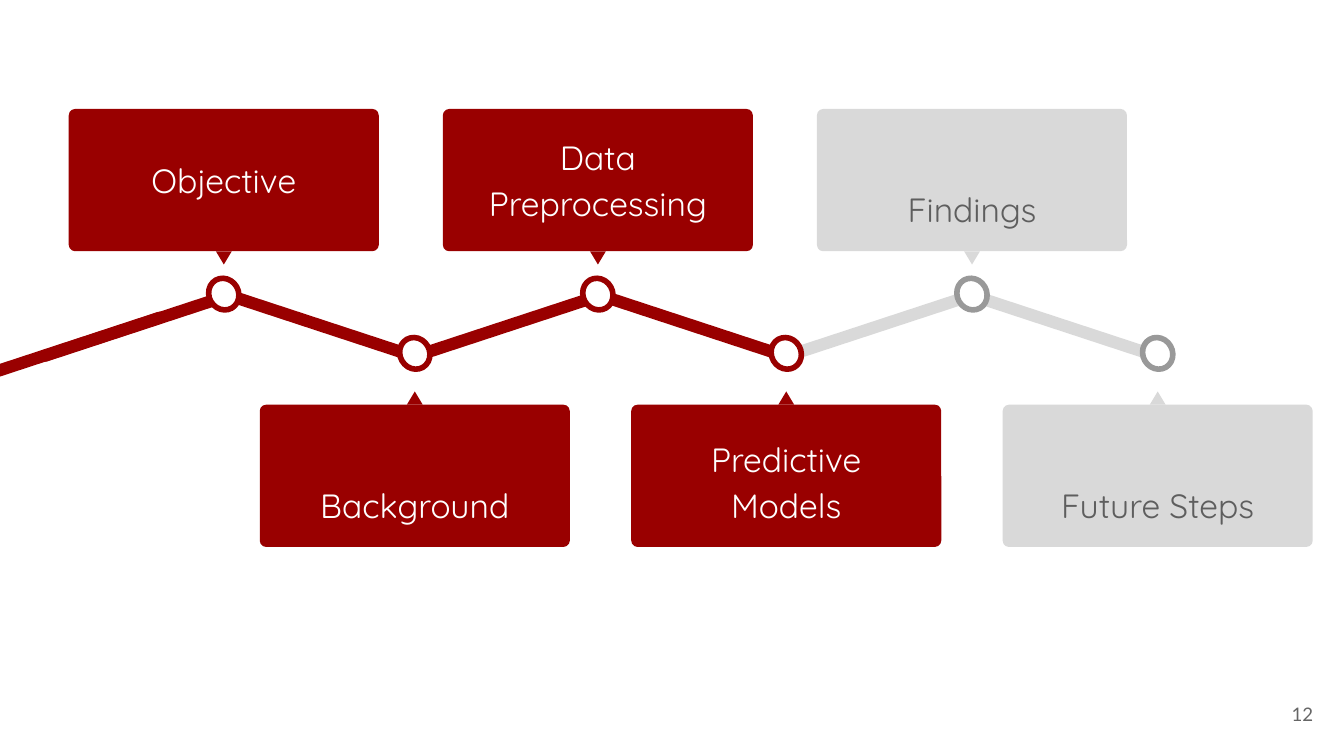
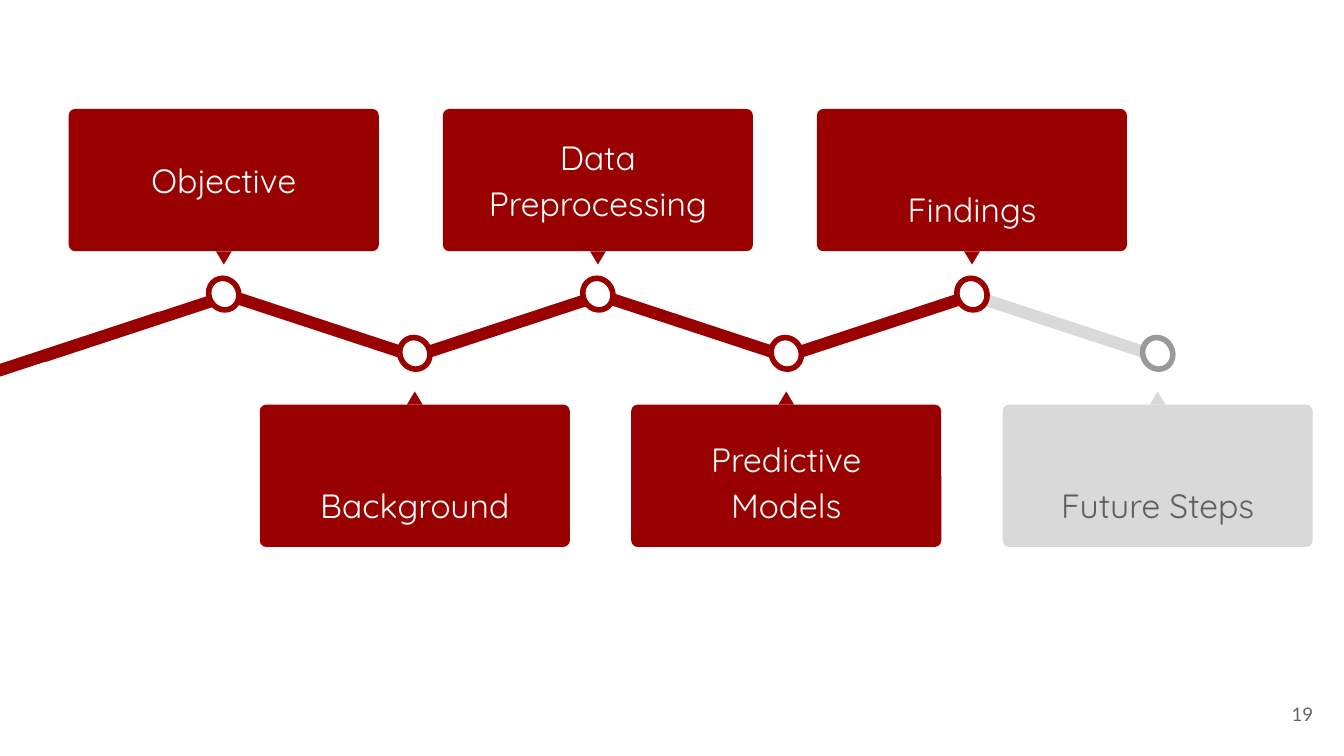
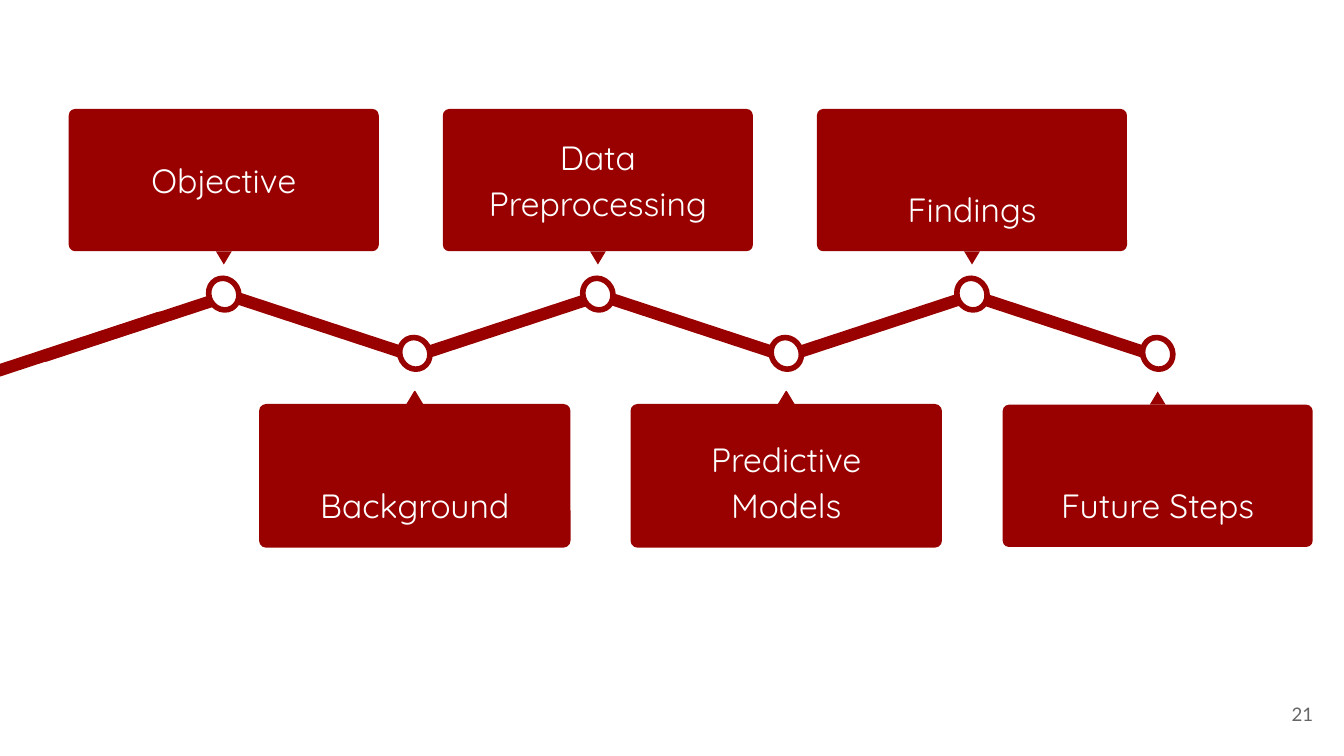
from dataclasses import dataclass

from pptx import Presentation
from pptx import util as u
from pptx.dml.color import RGBColor
from pptx.enum import shapes, text

RED, PALE, GREY, WHITE = "990000", "D9D9D9", "999999", "FFFFFF"
DIM, FOOT = "5E5E5E", "666666"
KIND = shapes.MSO_SHAPE
TOP, MID, LOW = text.MSO_ANCHOR.TOP, text.MSO_ANCHOR.MIDDLE, text.MSO_ANCHOR.BOTTOM
CARD_W, CARD_H, INSET = 5.86, 2.69, 0.16
TIP_W, TIP_H = 0.3, 0.25
DOT_W, DOT_H, DOT_TURN = 0.56, 0.61, 330.2
BAR_W, BAR_H, SLOPE = 3.86, 0.23, 18.2
BAR_X, BAR_Y, BAR_STEP = 2.57, 6.16, 3.51


@dataclass(frozen=True)
class Row:
    """A row of cards beside the zigzag line."""
    start: float
    step: float
    card_y: float
    tip_y: float
    dot_y: float
    turn: float


@dataclass(frozen=True)
class Step:
    """One stage of the agenda."""
    label: str
    anchor: text.MSO_ANCHOR = LOW
    loose: bool = True


@dataclass(frozen=True)
class Page:
    """One slide: its number, the stages done, and the outlined cards."""
    number: str
    done: int
    edged: tuple[int, ...] = ()


ROWS = (
    Row(4.23, 7.07, 2.06, 4.75, 5.56, 180),
    Row(7.84, 7.02, 7.65, 7.4, 6.68, 0),
)
STEPS = (
    Step("Objective", MID, False),
    Step("Background"),
    Step("Data Preprocessing", TOP),
    Step("Predictive Models"),
    Step("Findings"),
    Step("Future Steps"),
)
PAGES = (Page("12", 4), Page("19", 5), Page("21", 6, (1, 3)))


def paint(item, fill: str, line: str = "", width: float = 0.75) -> None:
    """Fill a shape and outline it when a line colour is given."""
    item.fill.solid()
    item.fill.fore_color.rgb = RGBColor.from_string(fill)
    if line:
        item.line.color.rgb = RGBColor.from_string(line)
        item.line.width = u.Pt(width)
    else:
        item.line.fill.background()


def place(tree, kind, mid: float, top: float, width: float, height: float, turn: float = 0):
    """Add a shape centred across on mid, without a shadow."""
    item = tree.add_shape(kind, u.Cm(mid - width / 2), u.Cm(top), u.Cm(width), u.Cm(height))
    item.rotation = turn
    item.shadow.inherit = False
    return item


def write(tree, words: str, left: float, top: float, width: float, height: float,
          font: str, size: int, tint: str, align, anchor):
    """Add a wrapped text box with one paragraph."""
    box = tree.add_textbox(u.Cm(left), u.Cm(top), u.Cm(width), u.Cm(height))
    frame = box.text_frame
    frame.word_wrap = True
    frame.vertical_anchor = anchor
    frame.margin_left = frame.margin_right = u.Cm(0.25)
    frame.margin_top = frame.margin_bottom = u.Cm(0.25)
    para = frame.paragraphs[0]
    para.text = words
    para.alignment = align
    para.font.name, para.font.size = font, u.Pt(size)
    para.font.color.rgb = RGBColor.from_string(tint)
    return box


def draw_bar(tree, mid: float, y: float, turn: float, tint: str) -> None:
    """Draw one sloping bar of the line, centred on mid and y."""
    bar = place(tree, KIND.ROUNDED_RECTANGLE, mid, y - BAR_H / 2, BAR_W, BAR_H, turn)
    bar.adjustments[0] = 0.5
    paint(bar, tint)


def draw_step(tree, index: int, done: bool, edged: bool) -> None:
    """Draw a stage as a group of dot, card, pointer and label."""
    step, row = STEPS[index], ROWS[index % 2]
    mid = row.start + index // 2 * row.step
    fill = RED if done else PALE
    edge = RED if edged else ""
    group = tree.add_group_shape().shapes

    dot = place(group, KIND.OVAL, mid, row.dot_y - DOT_H / 2, DOT_W, DOT_H, DOT_TURN)
    paint(dot, WHITE, RED if done else GREY, 3)
    card = place(group, KIND.ROUNDED_RECTANGLE, mid, row.card_y, CARD_W, CARD_H)
    card.adjustments[0] = 0.045
    paint(card, fill, edge)
    tip = place(group, KIND.ISOSCELES_TRIANGLE, mid, row.tip_y, TIP_W, TIP_H, row.turn)
    paint(tip, fill, edge)

    label = write(group, step.label, mid - CARD_W / 2 + INSET, row.card_y + INSET,
                  CARD_W - 2 * INSET, CARD_H - 2 * INSET, "Quicksand", 18,
                  WHITE if done else DIM, text.PP_ALIGN.CENTER, step.anchor)
    if done:
        paint(label, fill, edge)
    if step.loose:
        para = label.text_frame.paragraphs[0]
        para.line_spacing, para.space_after = 1.15, u.Pt(16)


def draw_page(deck, page: Page) -> None:
    """Add one agenda slide."""
    tree = deck.slides.add_slide(deck.slide_layouts[6]).shapes
    write(tree, page.number, 23.55, 12.95, 1.52, 1.09, "Lato", 10, FOOT,
          text.PP_ALIGN.RIGHT, MID)
    for i in reversed(range(len(STEPS))):
        draw_bar(tree, BAR_X + i * BAR_STEP, BAR_Y, SLOPE if i % 2 else -SLOPE,
                 RED if i < page.done else PALE)
    for i in range(len(STEPS)):
        draw_step(tree, i, i < page.done, i in page.edged)
    draw_bar(tree, 1.3, 6.57, -SLOPE, RED)


def main() -> None:
    """Build and save the deck."""
    deck = Presentation()
    deck.slide_width, deck.slide_height = u.Cm(25.4), u.Cm(14.29)
    for page in PAGES:
        draw_page(deck, page)
    deck.save("out.pptx")


if __name__ == "__main__":
    main()
